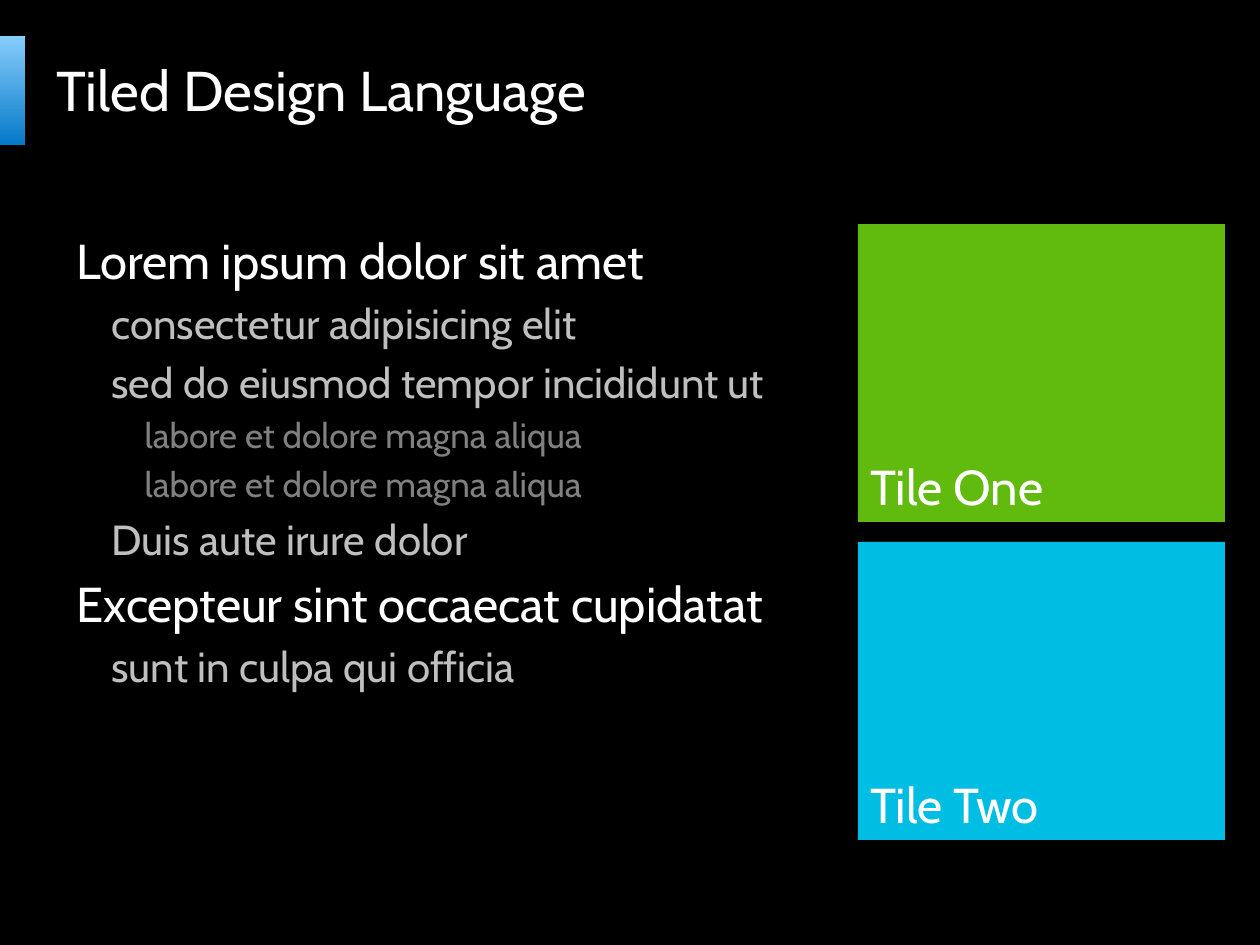
from lxml import etree
from pptx import Presentation
from pptx.dml.color import RGBColor
from pptx.enum.shapes import MSO_SHAPE
from pptx.enum.text import MSO_ANCHOR, MSO_AUTO_SIZE, PP_ALIGN
from pptx.oxml.ns import qn
from pptx.util import Pt

RECTANGLE = MSO_SHAPE.RECTANGLE
TOP, MIDDLE, BOTTOM = MSO_ANCHOR.TOP, MSO_ANCHOR.MIDDLE, MSO_ANCHOR.BOTTOM
NO_AUTOFIT = MSO_AUTO_SIZE.NONE
LEFT = PP_ALIGN.LEFT

EMU_PER_PX = 914400 / 126
FONT = "Cabin"
BLACK = RGBColor(0x00, 0x00, 0x00)
WHITE = RGBColor(0xFF, 0xFF, 0xFF)
LIGHT_GRAY = RGBColor(0xBF, 0xBF, 0xBF)
GRAY = RGBColor(0x80, 0x80, 0x80)
SKY_BLUE = RGBColor(0x87, 0xCD, 0xFC)
DEEP_BLUE = RGBColor(0x04, 0x79, 0xC8)
GREEN = RGBColor(0x60, 0xBB, 0x0E)
CYAN = RGBColor(0x00, 0xBD, 0xE3)

LEVEL_STYLES = [
    {"size": 28, "color": WHITE, "indent": 0},
    {"size": 24, "color": LIGHT_GRAY, "indent": 35},
    {"size": 20, "color": GRAY, "indent": 68},
]
OUTLINE = [
    (0, "Lorem ipsum dolor sit amet"),
    (1, "consectetur adipisicing elit"),
    (1, "sed do eiusmod tempor incididunt ut"),
    (2, "labore et dolore magna aliqua"),
    (2, "labore et dolore magna aliqua"),
    (1, "Duis aute irure dolor"),
    (0, "Excepteur sint occaecat cupidatat"),
    (1, "sunt in culpa qui officia"),
]
TILES = [("Tile One", GREEN), ("Tile Two", CYAN)]
TILE_LEFT, TILE_TOP, TILE_WIDTH, TILE_HEIGHT = 858, 224, 367, 298
TILE_PITCH = 318


def px(length):
    return round(length * EMU_PER_PX)


def place(holder, left, top, width, height, anchor):
    holder.left, holder.top = px(left), px(top)
    holder.width, holder.height = px(width), px(height)
    frame = holder.text_frame
    frame.word_wrap = True
    frame.auto_size = NO_AUTOFIT
    frame.vertical_anchor = anchor
    return frame


def write(paragraph, text, size=28, color=WHITE, level=0, indent=0, gap=0.2):
    paragraph.alignment = LEFT
    paragraph.level = level
    paragraph.space_before = Pt(size * gap)
    run = paragraph.add_run()
    run.text = text
    run.font.name = FONT
    run.font.size = Pt(size)
    run.font.color.rgb = color
    properties = paragraph._p.get_or_add_pPr()
    properties.set("marL", str(px(indent)))
    properties.set("indent", "0")
    etree.SubElement(properties, qn("a:buNone"))


def add_block(slide, left, top, width, height):
    block = slide.shapes.add_shape(
        RECTANGLE, px(left), px(top), px(width), px(height))
    block.shadow.inherit = False
    block.line.fill.background()
    return block


def add_accent(slide):
    fill = add_block(slide, 0, 36, 25, 109).fill
    fill.gradient()
    fill.gradient_angle = 270
    for stop, color in zip(fill.gradient_stops, (SKY_BLUE, DEEP_BLUE)):
        stop.color.rgb = color


def fill_title(slide, text):
    frame = place(slide.shapes.title, 44, 36, 893, 107, MIDDLE)
    write(frame.paragraphs[0], text, size=32, gap=0)


def fill_outline(slide):
    frame = place(slide.placeholders[1], 64, 224, 753, 624, TOP)
    for number, (level, text) in enumerate(OUTLINE):
        paragraph = frame.add_paragraph() if number else frame.paragraphs[0]
        write(paragraph, text, level=level, **LEVEL_STYLES[level])


def add_tile(slide, row, label, color):
    area = (TILE_LEFT, TILE_TOP + row * TILE_PITCH, TILE_WIDTH, TILE_HEIGHT)
    tile = add_block(slide, *area)
    tile.fill.solid()
    tile.fill.fore_color.rgb = color
    frame = place(tile, *area, BOTTOM)
    write(frame.paragraphs[0], label)


def main():
    deck = Presentation()
    deck.slide_width, deck.slide_height = px(1260), px(945)
    slide = deck.slides.add_slide(deck.slide_layouts[1])
    slide.background.fill.solid()
    slide.background.fill.fore_color.rgb = BLACK
    add_accent(slide)
    fill_title(slide, "Tiled Design Language")
    fill_outline(slide)
    for row, (label, color) in enumerate(TILES):
        add_tile(slide, row, label, color)
    deck.save("out.pptx")


if __name__ == "__main__":
    main()
